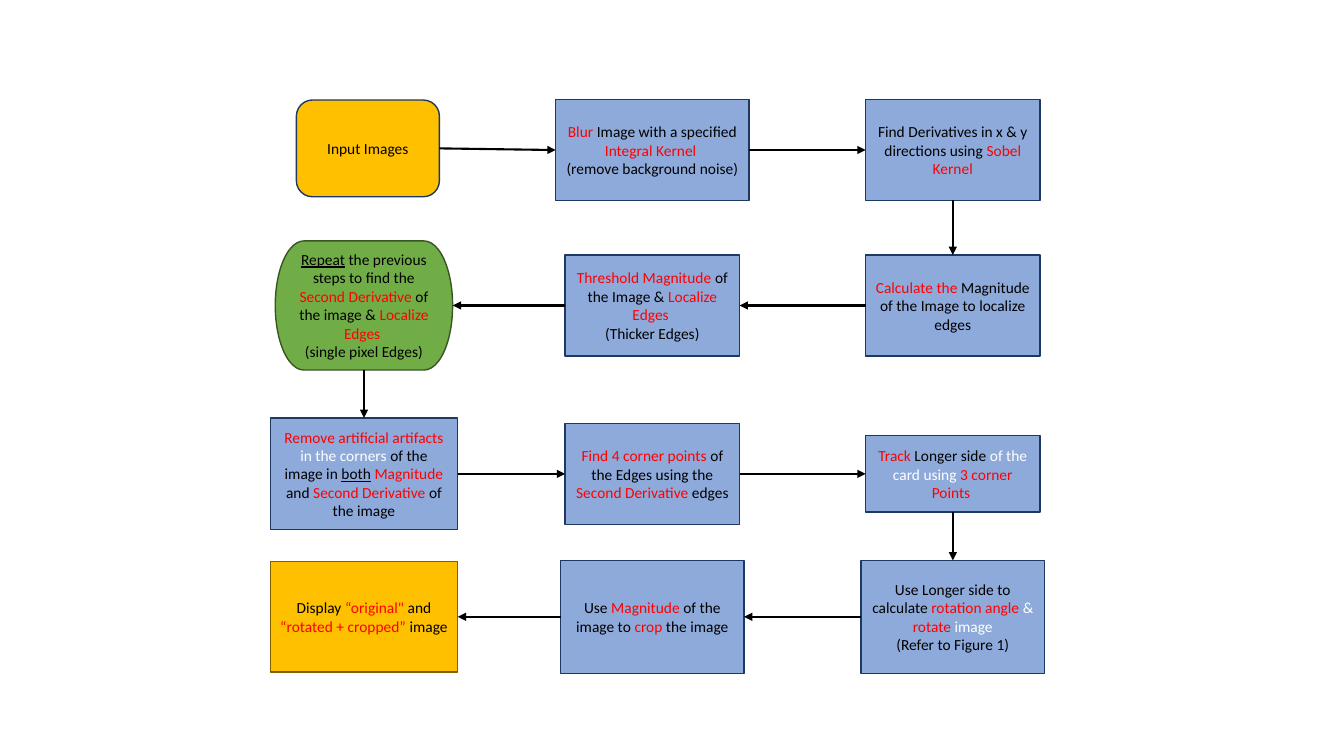
from lxml import etree
from pptx import Presentation
from pptx.dml.color import RGBColor
from pptx.enum import shapes, text
from pptx.oxml import ns
from pptx.util import Pt

BLACK = RGBColor(0x00, 0x00, 0x00)
RED = RGBColor(0xFF, 0x00, 0x00)
WHITE = RGBColor(0xFF, 0xFF, 0xFF)
BLUE = RGBColor(0x8E, 0xAA, 0xDB)
NAVY = RGBColor(0x1F, 0x37, 0x63)
GOLD = RGBColor(0xFF, 0xC0, 0x00)
BROWN = RGBColor(0x7F, 0x5F, 0x00)
GREEN = RGBColor(0x70, 0xAD, 0x47)
DARK_GREEN = RGBColor(0x37, 0x56, 0x23)

RECT = shapes.MSO_SHAPE.RECTANGLE
ROUNDED = shapes.MSO_SHAPE.FLOWCHART_ALTERNATE_PROCESS
TERMINATOR = shapes.MSO_SHAPE.FLOWCHART_TERMINATOR

# Look of a step: shape, fill, outline
PROCESS = (RECT, BLUE, NAVY)
START = (ROUNDED, GOLD, NAVY)
REPEAT = (TERMINATOR, GREEN, DARK_GREEN)
FINISH = (RECT, GOLD, BROWN)

# Steps in reading order of the flow: look, size, paragraphs of (text, colour[, underlined])
STEPS = [
    (START, (102.2, 69.1), [[("Input Images", BLACK)]]),
    (PROCESS, (138.2, 72), [
        [("Blur", RED), (" Image with a specified ", BLACK), ("Integral Kernel ", RED)],
        [("(remove background noise)", BLACK)]]),
    (PROCESS, (124.6, 72), [
        [("Find Derivatives in x & y directions using ", BLACK), ("Sobel Kernel", RED)]]),
    (PROCESS, (124.6, 72), [
        [("Calculate the", RED), (" Magnitude of the Image to localize edges", BLACK)]]),
    (PROCESS, (124.6, 72), [
        [("Threshold Magnitude", RED), (" of the Image & ", BLACK), ("Localize Edges ", RED)],
        [("(Thicker Edges)", BLACK)]]),
    (REPEAT, (126.7, 92.2), [
        [("Repeat", BLACK, True), (" the previous steps to find the ", BLACK),
         ("Second Derivative ", RED), ("of the image & ", BLACK), ("Localize Edges ", RED)],
        [("(single pixel Edges)", BLACK)]]),
    (PROCESS, (133.9, 80), [
        [("Remove artificial artifacts ", RED), ("in the corners ", WHITE),
         ("of the image in ", BLACK), ("both", BLACK, True), (" ", BLACK),
         ("Magnitude", RED), (" and ", BLACK), ("Second Derivative ", RED),
         ("of the image", BLACK)]]),
    (PROCESS, (124.6, 72), [
        [("Find 4 corner points ", RED), ("of the Edges using the ", BLACK),
         ("Second Derivative ", RED), ("edges", BLACK)]]),
    (PROCESS, (124.6, 54.7), [
        [("Track ", RED), ("Longer side ", BLACK), ("of the card using ", WHITE),
         ("3 corner Points ", RED)]]),
    (PROCESS, (131, 80.6), [
        [("Use Longer side to calculate ", BLACK), ("rotation angle ", RED),
         ("& ", WHITE), ("rotate", RED), (" image", WHITE)],
        [("(Refer to Figure 1)", BLACK)]]),
    (PROCESS, (131, 80.6), [
        [("Use ", BLACK), ("Magnitude", RED), (" of the image to ", BLACK),
         ("crop", RED), (" the image", BLACK)]]),
    (FINISH, (133.9, 79.2), [
        [("Display ", BLACK), ("“original\" ", RED), ("and ", BLACK),
         ("“rotated + cropped” ", RED), ("image", BLACK)]]),
]

# Centre lines of the grid
COLUMN_X = [260, 466, 680.6]
ROW_Y = [107.2, 218.2, 338.5, 440.6]
START_NUDGE = (2.8, -1.2)

# Connection sites of a box
TOP, LEFT, BOTTOM, RIGHT = range(4)


def grid_place(index):
    """Rows run alternately rightwards and leftwards."""
    row, step = divmod(index, len(COLUMN_X))
    column = step if row % 2 == 0 else len(COLUMN_X) - 1 - step
    return row, column


def add_step(page, index, look, size, paragraphs):
    kind, fill, outline = look
    width, height = size
    row, column = grid_place(index)
    dx, dy = START_NUDGE if index == 0 else (0, 0)
    box = page.shapes.add_shape(
        kind, Pt(COLUMN_X[column] + dx - width / 2), Pt(ROW_Y[row] + dy - height / 2),
        Pt(width), Pt(height))
    box.shadow.inherit = False
    box.fill.solid()
    box.fill.fore_color.rgb = fill
    box.line.color.rgb = outline
    box.line.width = Pt(1)

    frame = box.text_frame
    frame.word_wrap = True
    frame.vertical_anchor = text.MSO_ANCHOR.MIDDLE
    for number, spans in enumerate(paragraphs):
        para = frame.add_paragraph() if number else frame.paragraphs[0]
        para.alignment = text.PP_ALIGN.CENTER
        for words, color, *underlined in spans:
            span = para.add_run()
            span.text = words
            span.font.name = "Calibri"
            span.font.size = Pt(11)
            span.font.color.rgb = color
            if underlined:
                span.font.underline = True
    return box


def add_arrow(page, index, source, target):
    row, column = grid_place(index)
    next_row, next_column = grid_place(index + 1)
    if next_row > row:
        leave, enter = BOTTOM, TOP
    elif next_column > column:
        leave, enter = RIGHT, LEFT
    else:
        leave, enter = LEFT, RIGHT
    arrow = page.shapes.add_connector(shapes.MSO_CONNECTOR.STRAIGHT, 0, 0, 0, 0)
    arrow.begin_connect(source, leave)
    arrow.end_connect(target, enter)
    arrow.line.color.rgb = BLACK
    arrow.line.width = Pt(1.5)
    etree.SubElement(arrow.line._get_or_add_ln(), ns.qn("a:tailEnd"), type="triangle")
    etree.SubElement(arrow._element.spPr, ns.qn("a:effectLst"))


def main():
    deck = Presentation()
    deck.slide_width, deck.slide_height = Pt(960), Pt(540)
    page = deck.slides.add_slide(deck.slide_layouts[6])

    # Steps, then the arrows from each step to the next
    boxes = [add_step(page, index, *step) for index, step in enumerate(STEPS)]
    for index, (source, target) in enumerate(zip(boxes, boxes[1:])):
        add_arrow(page, index, source, target)

    deck.save("out.pptx")


if __name__ == "__main__":
    main()
